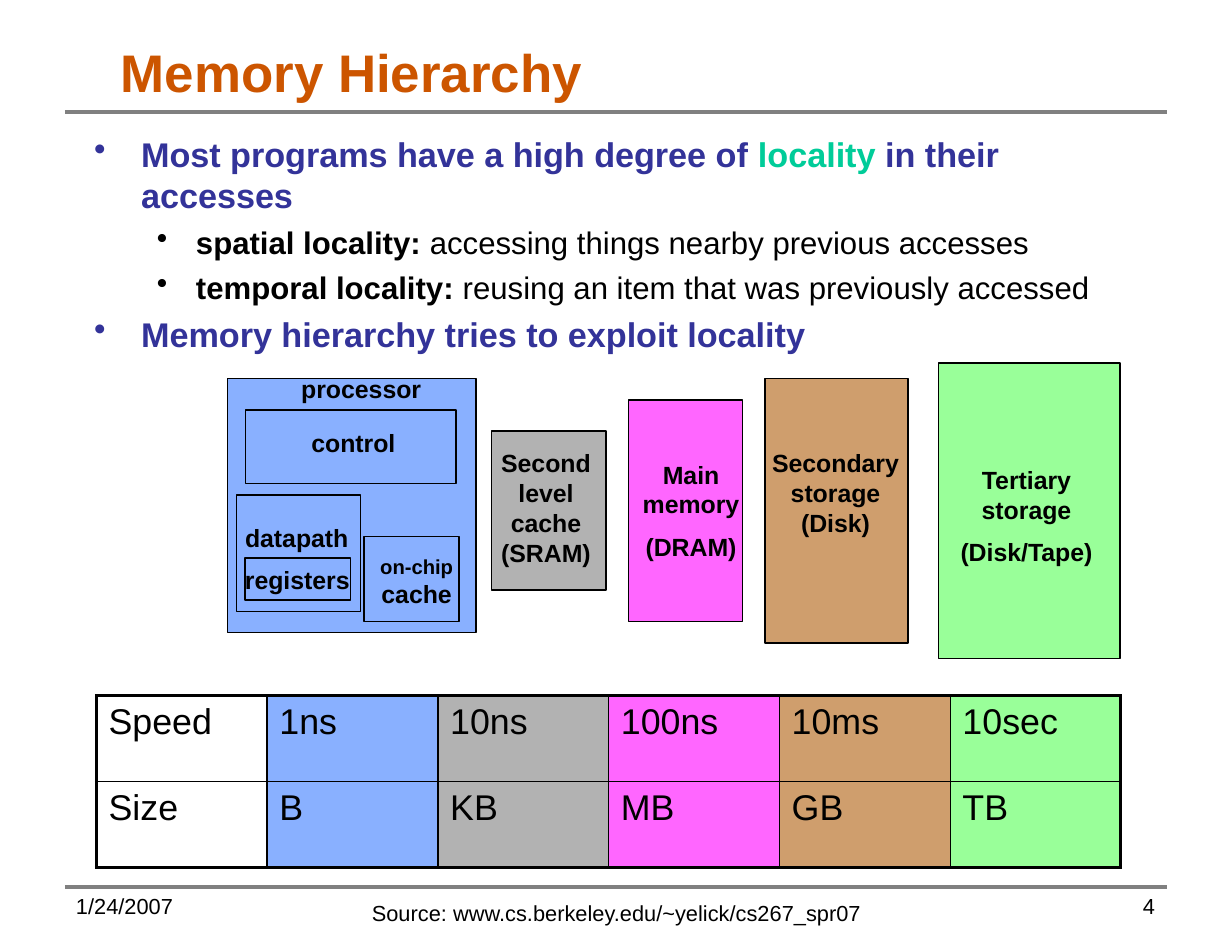
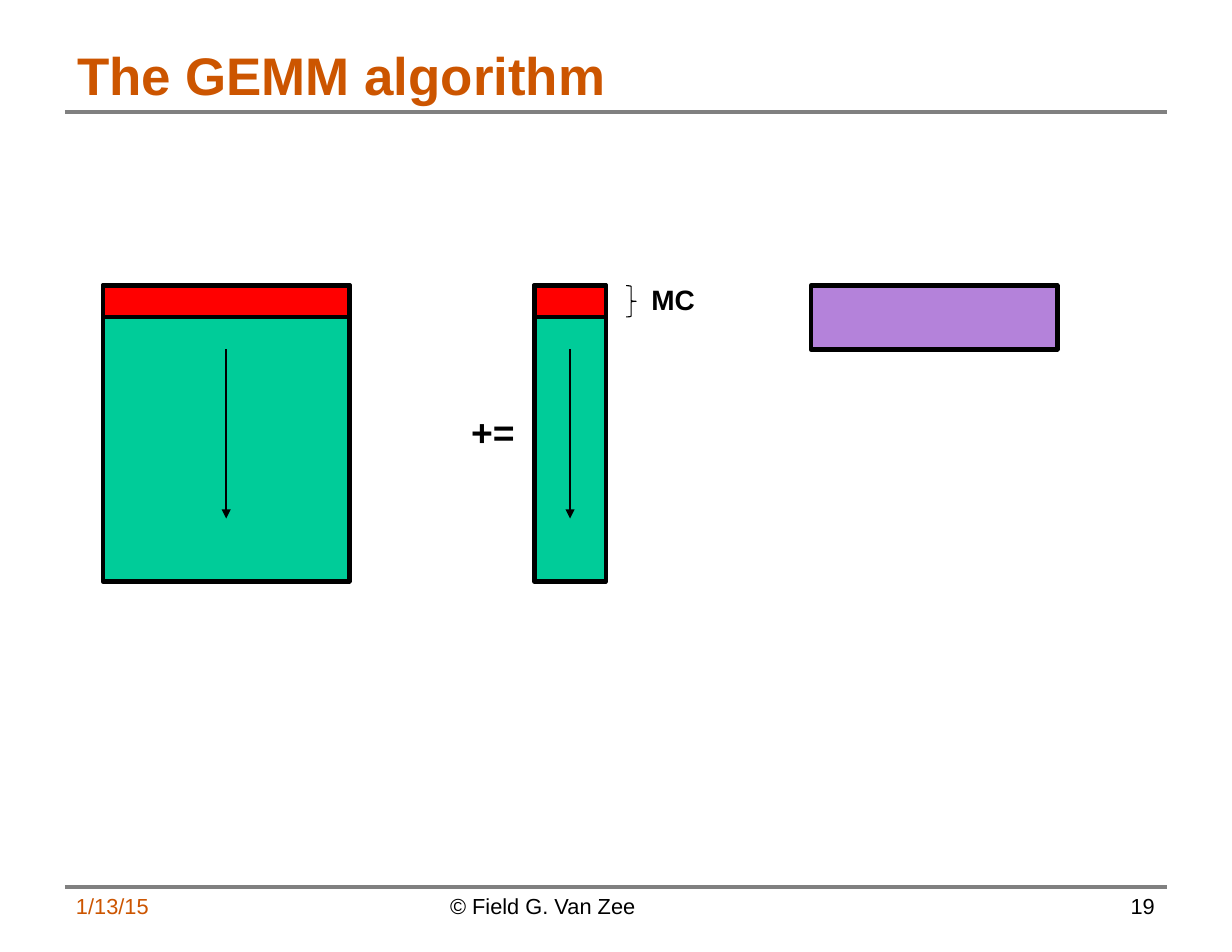
from pptx import Presentation, util as u
from pptx.dml.color import RGBColor
from pptx.enum import shapes as sh, text as tx
from pptx.oxml import parse_xml
from pptx.oxml.ns import nsdecls, qn
from lxml import etree

BLACK = RGBColor(0, 0, 0)
GREY = RGBColor(0x80, 0x80, 0x80)
ORANGE = RGBColor(0xCC, 0x55, 0x00)
NAVY = RGBColor(0x33, 0x33, 0x99)
TEAL = RGBColor(0x00, 0xCC, 0x99)
BLUE = RGBColor(0x89, 0xB0, 0xFF)
SILVER = RGBColor(0xB2, 0xB2, 0xB2)
PINK = RGBColor(0xFF, 0x66, 0xFF)
TAN = RGBColor(0xCF, 0x9E, 0x6D)
GREEN = RGBColor(0x99, 0xFF, 0x99)
RED = RGBColor(0xFF, 0, 0)
PURPLE = RGBColor(0xB4, 0x82, 0xDA)

FONT = "Arial"
PAD = (0.11, 0.06)
LEFT, RIGHT, TOP, FOOT = 0.58, 10.42, 1, 7.92
ALIGN = {"l": tx.PP_ALIGN.LEFT, "c": tx.PP_ALIGN.CENTER, "r": tx.PP_ALIGN.RIGHT}


def inches(*vals):
    return [u.Inches(v) for v in vals]


def write(frame, *paras, size=16, color=BLACK, bold=False, align="l",
          before=0, pad=PAD, wrap=True, middle=False):
    """Fill a frame; a paragraph is a string or a list of (text, changes)."""
    frame.word_wrap = wrap
    frame.margin_left = frame.margin_right = u.Inches(pad[0])
    frame.margin_top = frame.margin_bottom = u.Inches(pad[1])
    frame.vertical_anchor = tx.MSO_ANCHOR.MIDDLE if middle else tx.MSO_ANCHOR.TOP
    for i, runs in enumerate(paras):
        para = frame.add_paragraph() if i else frame.paragraphs[0]
        para.alignment = ALIGN[align]
        para.space_before = u.Pt(before)
        for words, diff in [(runs, {})] if isinstance(runs, str) else runs:
            run = para.add_run()
            run.text = words
            run.font.name = FONT
            run.font.size = u.Pt(diff.get("size", size))
            run.font.bold = diff.get("bold", bold)
            run.font.color.rgb = diff.get("color", color)
    return frame


def label(slide, box, *paras, **form):
    return write(slide.shapes.add_textbox(*inches(*box)).text_frame, *paras, **form)


def block(slide, box, fill=None, width=1, kind=sh.MSO_SHAPE.RECTANGLE):
    shape = slide.shapes.add_shape(kind, *inches(*box))
    shape.shadow.inherit = False
    if fill is None:
        shape.fill.background()
    else:
        shape.fill.solid()
        shape.fill.fore_color.rgb = fill
    shape.line.color.rgb = BLACK
    shape.line.width = u.Pt(width)


def rule(slide, x1, y1, x2, y2, color=GREY, width=2.25, arrow=False):
    line = slide.shapes.add_connector(sh.MSO_CONNECTOR.STRAIGHT, *inches(x1, y1, x2, y2))
    line.line.color.rgb = color
    line.line.width = u.Pt(width)
    if arrow:
        etree.SubElement(line.line._get_or_add_ln(), qn("a:tailEnd"), type="triangle")
    etree.SubElement(line._element.spPr, qn("a:effectLst"))


def base(deck, title, spot, date, page, credit, place, tint=BLACK, align="l"):
    """Add a slide with its title, rules and footer."""
    slide = deck.slides.add_slide(deck.slide_layouts[6])
    for y in (TOP, FOOT):
        rule(slide, LEFT, y, RIGHT, y)
    label(slide, spot, title, size=34, color=ORANGE, bold=True, middle=True)
    foot = dict(size=14, pad=(0.1, 0.05))
    label(slide, (LEFT, FOOT, 2.58, 0.52), date, color=tint, **foot)
    label(slide, (7.83, FOOT, 2.58, 0.52), page, align="r", **foot)
    label(slide, place, credit, align=align, **foot)
    return slide


def points(slide, box):
    """Bulleted list on two levels."""
    head, plain = dict(color=NAVY, size=22), dict(bold=False)
    rows = [
        (0, [("Most programs have a high degree of ", head),
             ("locality", dict(head, color=TEAL)), (" in their accesses", head)]),
        (1, [("spatial locality:", {}),
             (" accessing things nearby previous accesses", plain)]),
        (1, [("temporal locality:", {}),
             (" reusing an item that was previously accessed", plain)]),
        (0, [("Memory hierarchy tries to exploit locality", head)]),
    ]
    frame = label(slide, box, *[runs for _, runs in rows], size=20, bold=True, before=5)
    for para, (level, _) in zip(frame.paragraphs, rows):
        para.level = level
        left, hang = ((0.42, -0.42), (0.91, -0.35))[level]
        props = para._p.get_or_add_pPr()
        props.set("marL", str(u.Inches(left)))
        props.set("indent", str(u.Inches(hang)))
        etree.SubElement(props, qn("a:buChar"), char="•")


def chip(slide, box):
    """Processor with its inner units."""
    x, y, w, h = box
    block(slide, box, BLUE)
    units = [(0.16, 0.28, 1.88, 0.66), (0.16, 1.6, 0.94, 0.38),
             (1.22, 1.41, 0.85, 0.76), (0.08, 1.04, 1.11, 1.04)]
    for dx, dy, wide, high in units:
        block(slide, (x + dx, y + dy, wide, high))
    names = [("processor", 0.54, -0.1, 1.31), ("control", 0.63, 0.38, 0.99),
             ("datapath", 0.04, 1.23, 1.16), ("registers", 0.04, 1.6, 1.17)]
    for name, dx, dy, wide in names:
        label(slide, (x + dx, y + dy, wide, 0.38), name, bold=True, align="c", wrap=False)
    label(slide, (x + 1.22, y + 1.51, 0.94, 0.6),
          [("on-chip ", dict(size=13)), ("cache", {})], bold=True, align="c")


def stores(slide, x, mid):
    """Memory levels, centred on one height; text boxes are set off from each block."""
    levels = [
        (0, 1.02, 1.42, SILVER, (-0.09, 0.09, 1.15), ["Second level cache (SRAM)"]),
        (1.22, 1.02, 1.98, PINK, (0, 0.47, 1.12), ["Main memory", "(DRAM)"]),
        (2.44, 1.28, 2.36, TAN, (-0.06, 0.56, 1.38), ["Secondary storage (Disk)"]),
        (3.99, 1.62, 2.64, GREEN, (0.04, 0.85, 1.49), ["Tertiary storage", "(Disk/Tape)"]),
    ]
    for dx, wide, high, fill, (tdx, tdy, span), words in levels:
        left, top = x + dx, mid - high / 2
        block(slide, (left, top, wide, high), fill)
        label(slide, (left + tdx, top + tdy, span, 1.05), *words,
              bold=True, align="c", before=8)


def edge(cell, side, width):
    cell._tc.get_or_add_tcPr().append(parse_xml(
        f'<a:ln{side} {nsdecls("a")} w="{u.Pt(width)}"><a:solidFill>'
        f'<a:srgbClr val="{BLACK}"/></a:solidFill></a:ln{side}>'))


def grid(slide, box):
    """Speed and size of each level."""
    rows = [["Speed", "1ns", "10ns", "100ns", "10ms", "10sec"],
            ["Size", "B", "KB", "MB", "GB", "TB"]]
    fills = [None, BLUE, SILVER, PINK, TAN, GREEN]
    table = slide.shapes.add_table(len(rows), len(fills), *inches(*box)).table
    table.first_row = table.horz_banding = False
    for r, row in enumerate(rows):
        for c, (words, fill) in enumerate(zip(row, fills)):
            cell = table.cell(r, c)
            write(cell.text_frame, words, size=23, before=3.5)
            cell.margin_left = cell.margin_right = u.Inches(PAD[0])
            cell.margin_top = cell.margin_bottom = u.Inches(PAD[1])
            outer = dict(L=c == 0, R=c == len(fills) - 1, T=r == 0, B=r == len(rows) - 1)
            for side, thick in outer.items():
                edge(cell, side, 2.25 if thick else 1)
            if fill is None:
                cell.fill.background()
            else:
                cell.fill.solid()
                cell.fill.fore_color.rgb = fill


def panel(slide, box, band):
    """Matrix with its top band marked and an arrow down."""
    x, y, w, h = box
    block(slide, box, TEAL, 3)
    block(slide, (x, y, w, band), RED, 3)
    mid = x + w / 2
    rule(slide, mid, y + 0.57, mid, y + 2.08, BLACK, 1.25, arrow=True)


def gemm(slide, x, y):
    """Panel update: left matrix += column panel times row panel."""
    high, band = 2.64, 0.28
    panel(slide, (x, y, 2.2, high), band)
    panel(slide, (x + 3.85, y, 0.64, high), band)
    block(slide, (x + 6.32, y, 2.2, 0.57), PURPLE, 3)
    block(slide, (x + 4.67, y, 0.09, band), width=0.75, kind=sh.MSO_SHAPE.RIGHT_BRACE)
    form = dict(bold=True, align="c", wrap=False)
    label(slide, (x + 3.17, y + 1.04, 0.62, 0.52), "+=", size=24, **form)
    label(slide, (x + 4.78, y - 0.09, 0.62, 0.42), "MC", size=18, **form)


def main():
    deck = Presentation()
    deck.slide_width, deck.slide_height = inches(11, 8.5)

    memory = base(deck, "Memory Hierarchy", (0.97, 0.38, 7.69, 0.52), "1/24/2007", "4",
                  "Source: www.cs.berkeley.edu/~yelick/cs267_spr07",
                  (2.67, 7.98, 5.67, 0.52), align="c")
    points(memory, (0.73, 1.13, 9.62, 1.66))
    chip(memory, (2.03, 3.38, 2.22, 2.27))
    stores(memory, 4.39, 4.56)
    grid(memory, (0.86, 6.21, 9.15, 1.54))

    update = base(deck, "The GEMM algorithm", (LEFT, 0.33, 9.83, 0.67), "1/13/15", "19",
                  "© Field G. Van Zee", (3.92, FOOT, 3.17, 0.52), tint=ORANGE)
    gemm(update, 0.92, 2.55)

    deck.save("out.pptx")


if __name__ == "__main__":
    main()
